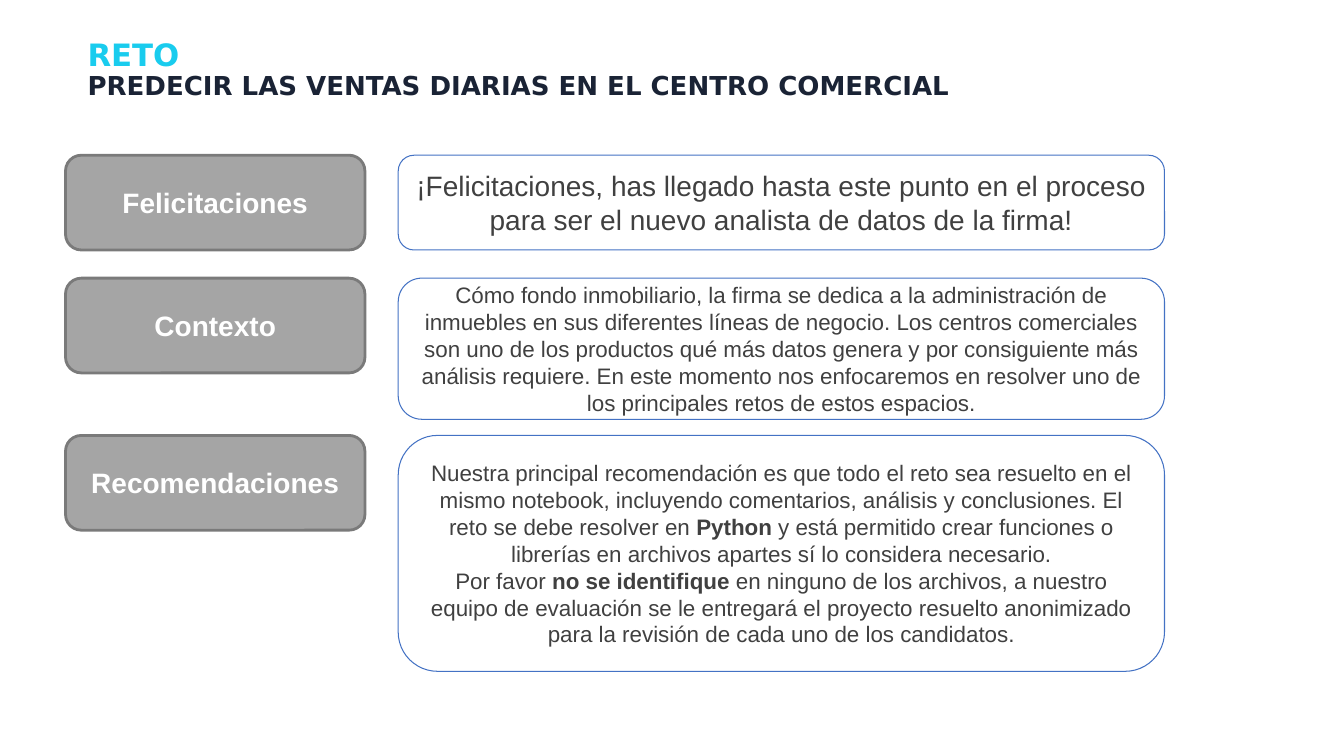
import dataclasses

import pptx
import pptx.dml.color
import pptx.enum.shapes
import pptx.enum.text
import pptx.util


@dataclasses.dataclass(frozen=True)
class Theme:
    cyan: str = "19CCEE"
    navy: str = "1A2335"
    grey: str = "A5A5A5"
    grey_edge: str = "7A7A7A"
    blue: str = "4472C4"
    ink: str = "404040"
    white: str = "FFFFFF"
    title_font: str = "DejaVu Sans"
    body_font: str = "Arial"
    title_size: float = 22
    subtitle_size: float = 18.6
    large_size: float = 20
    body_size: float = 16


def px(length):
    return pptx.util.Emu(length * 9144)


def rgb(code):
    return pptx.dml.color.RGBColor.from_string(code)


class Painter:
    """Draws headings and rounded boxes on one page in a given theme."""

    def __init__(self, page, theme):
        self.page = page
        self.theme = theme

    def span(self, para, text, font, size, color, bold):
        span = para.add_run()
        span.text = text
        span.font.name = font
        span.font.size = pptx.util.Pt(size)
        span.font.color.rgb = rgb(color)
        span.font.bold = bold

    def heading(self, area, text, size, color, spacing):
        box = self.page.shapes.add_textbox(*map(px, area))
        box.text_frame.word_wrap = True
        para = box.text_frame.paragraphs[0]
        para.line_spacing = spacing
        self.span(para, text, self.theme.title_font, size, color, True)

    def rounded(self, area, edge, weight, fill=None):
        kind = pptx.enum.shapes.MSO_SHAPE.ROUNDED_RECTANGLE
        box = self.page.shapes.add_shape(kind, *map(px, area))
        box.shadow.inherit = False
        if fill:
            box.fill.solid()
            box.fill.fore_color.rgb = rgb(fill)
        else:
            box.fill.background()
        box.line.color.rgb = rgb(edge)
        box.line.width = pptx.util.Pt(weight)
        box.text_frame.word_wrap = True
        box.text_frame.vertical_anchor = pptx.enum.text.MSO_ANCHOR.MIDDLE
        return box.text_frame

    def fill_text(self, frame, paragraphs, size, color):
        for index, spans in enumerate(paragraphs):
            para = frame.add_paragraph() if index else frame.paragraphs[0]
            para.alignment = pptx.enum.text.PP_ALIGN.CENTER
            for text, bold in spans:
                self.span(para, text, self.theme.body_font, size, color, bold)

    def label(self, area, text):
        theme = self.theme
        frame = self.rounded(area, theme.grey_edge, 2, theme.grey)
        self.fill_text(frame, [[(text, True)]], theme.large_size, theme.white)

    def message(self, area, paragraphs, size):
        frame = self.rounded(area, self.theme.blue, 0.75)
        self.fill_text(frame, paragraphs, size, self.theme.ink)


def main():
    deck = pptx.Presentation()
    deck.slide_width, deck.slide_height = px(1333), px(750)
    page = deck.slides.add_slide(deck.slide_layouts[6])
    theme = Theme()
    painter = Painter(page, theme)

    painter.heading((77, 35, 351, 43), "RETO", theme.title_size, theme.cyan, 0.9)
    painter.heading(
        (77, 72, 930, 55),
        "PREDECIR LAS VENTAS DIARIAS EN EL CENTRO COMERCIAL",
        theme.subtitle_size, theme.navy, 0.7,
    )

    congratulations = [[(
        "¡Felicitaciones, has llegado hasta este punto en el proceso para ser "
        "el nuevo analista de datos de la firma!", False,
    )]]
    context = [[(
        "Cómo fondo inmobiliario, la firma se dedica a la administración de "
        "inmuebles en sus diferentes líneas de negocio. Los centros comerciales "
        "son uno de los productos qué más datos genera y por consiguiente más "
        "análisis requiere. En este momento nos enfocaremos en resolver uno de "
        "los principales retos de estos espacios.", False,
    )]]
    recommendations = [
        [
            ("Nuestra principal recomendación es que todo el reto sea resuelto "
             "en el mismo notebook, incluyendo comentarios, análisis y "
             "conclusiones. El reto se debe resolver en ", False),
            ("Python ", True),
            ("y está permitido crear funciones o librerías en archivos apartes "
             "sí lo considera necesario.", False),
        ],
        [
            ("Por favor ", False),
            ("no se identifique ", True),
            ("en ninguno de los archivos, a nuestro equipo de evaluación se le "
             "entregará el proyecto resuelto anonimizado para la revisión de "
             "cada uno de los candidatos.", False),
        ],
    ]
    rows = [
        ("Felicitaciones", 154, 94, congratulations, theme.large_size),
        ("Contexto", 276, 140, context, theme.body_size),
        ("Recomendaciones", 432, 234, recommendations, theme.body_size),
    ]
    for name, top, height, paragraphs, size in rows:
        painter.label((65, top, 297, 94), name)
        painter.message((395, top, 760, height), paragraphs, size)

    deck.save("out.pptx")


if __name__ == "__main__":
    main()
